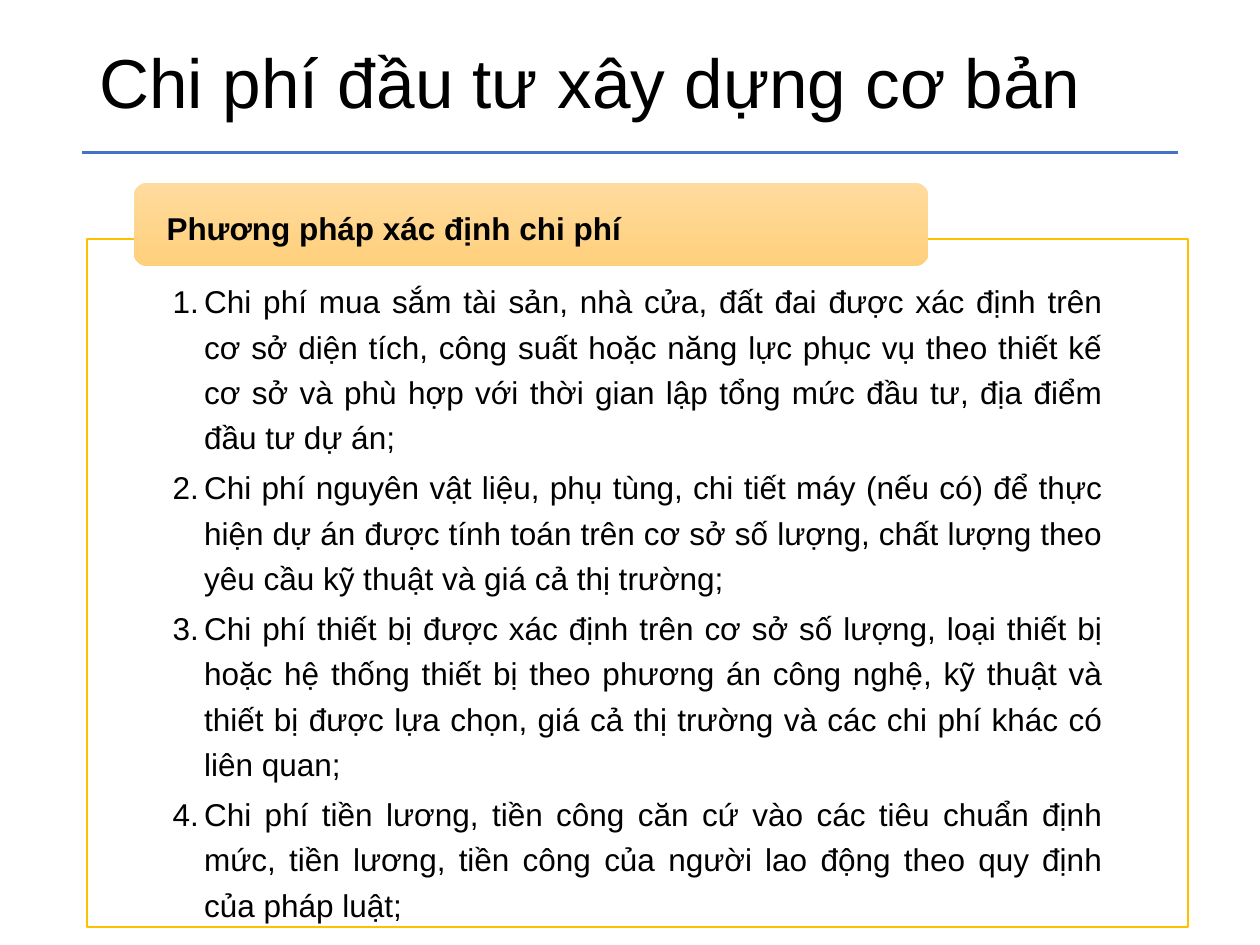
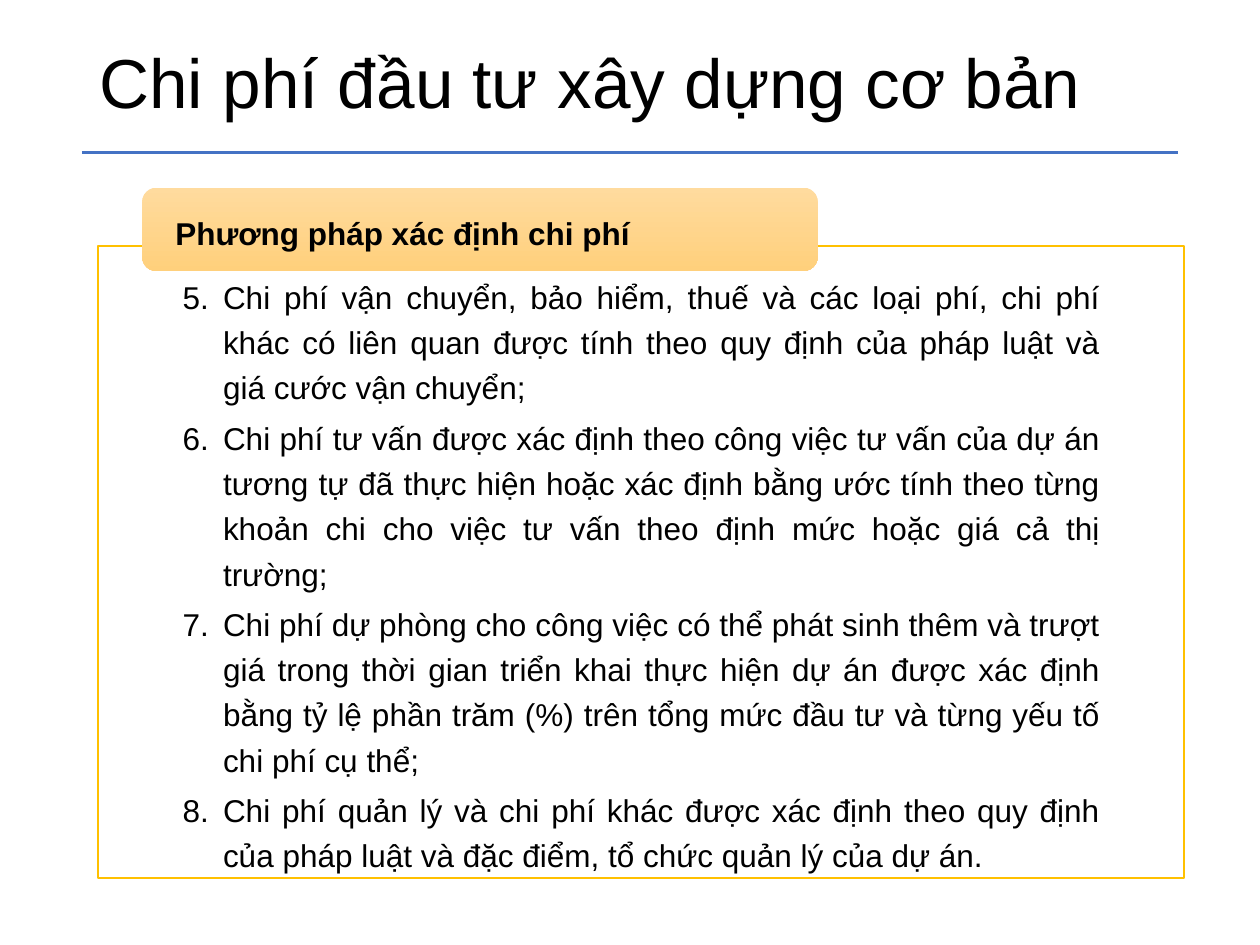
from lxml import etree
from pptx import Presentation
from pptx import util as u
from pptx.dml.color import RGBColor
from pptx.enum import shapes, text
from pptx.oxml import ns

PX = 9144  # 100 px to the inch
FONT = "Arial"
COLORS = {
    "ink": "000000",
    "rule": "4472C4",
    "panel": "FFFFFF",
    "border": "FFC000",
    "tab_top": "FFDB9E",
    "tab_bottom": "FFD07C",
}
RGB = {name: RGBColor.from_string(value) for name, value in COLORS.items()}

TITLE = "Chi phí đầu tư xây dựng cơ bản"
HEADING = "Phương pháp xác định chi phí"

# Boxes are left, top, width, height; insets are side, top, bottom.
PAGES = [
    {
        "panel": (69, 190, 874, 546),
        "insets": (68, 39, 14),
        "tab": (106, 145, 631, 66),
        "indent": 25,
        "start": 1,
        "costs": [
            "Chi phí mua sắm tài sản, nhà cửa, đất đai được xác định trên cơ sở diện tích, công suất hoặc năng lực phục vụ theo thiết kế cơ sở và phù hợp với thời gian lập tổng mức đầu tư, địa điểm đầu tư dự án;",
            "Chi phí nguyên vật liệu, phụ tùng, chi tiết máy (nếu có) để thực hiện dự án được tính toán trên cơ sở số lượng, chất lượng theo yêu cầu kỹ thuật và giá cả thị trường;",
            "Chi phí thiết bị được xác định trên cơ sở số lượng, loại thiết bị hoặc hệ thống thiết bị theo phương án công nghệ, kỹ thuật và thiết bị được lựa chọn, giá cả thị trường và các chi phí khác có liên quan;",
            "Chi phí tiền lương, tiền công căn cứ vào các tiêu chuẩn định mức, tiền lương, tiền công của người lao động theo quy định của pháp luật;",
        ],
    },
    {
        "panel": (78, 195, 862, 502),
        "insets": (67, 30, 14),
        "tab": (113, 149, 536, 66),
        "indent": 32,
        "start": 5,
        "costs": [
            "Chi phí vận chuyển, bảo hiểm, thuế và các loại phí, chi phí khác có liên quan được tính theo quy định của pháp luật và giá cước vận chuyển;",
            "Chi phí tư vấn được xác định theo công việc tư vấn của dự án tương tự đã thực hiện hoặc xác định bằng ước tính theo từng khoản chi cho việc tư vấn theo định mức hoặc giá cả thị trường;",
            "Chi phí dự phòng cho công việc có thể phát sinh thêm và trượt giá trong thời gian triển khai thực hiện dự án được xác định bằng tỷ lệ phần trăm (%) trên tổng mức đầu tư và từng yếu tố chi phí cụ thể;",
            "Chi phí quản lý và chi phí khác được xác định theo quy định của pháp luật và đặc điểm, tổ chức quản lý của dự án.",
        ],
    },
]


def set_frame(shape, side, top, bottom):
    """Wrap and centre the text vertically within the given insets."""
    frame = shape.text_frame
    frame.word_wrap = True
    frame.vertical_anchor = text.MSO_ANCHOR.MIDDLE
    frame.margin_left = frame.margin_right = side * PX
    frame.margin_top, frame.margin_bottom = top * PX, bottom * PX
    return frame


def write(paragraph, words, size, spacing, after=0, bold=False, align=text.PP_ALIGN.LEFT):
    paragraph.alignment = align
    paragraph.line_spacing = spacing
    paragraph.space_after = u.Pt(after)
    run = paragraph.add_run()
    run.text = words
    run.font.name, run.font.size, run.font.bold = FONT, u.Pt(size), bold
    run.font.color.rgb = RGB["ink"]


deck = Presentation()
deck.slide_width, deck.slide_height = 1000 * PX, 750 * PX

for page in PAGES:
    slide = deck.slides.add_slide(deck.slide_layouts[6])

    rule = slide.shapes.add_connector(
        shapes.MSO_CONNECTOR.STRAIGHT, 65 * PX, 121 * PX, 935 * PX, 121 * PX)
    rule.line.color.rgb = RGB["rule"]
    rule.line.width = u.Pt(1.5)
    etree.SubElement(rule._element.spPr, ns.qn("a:effectLst"))

    title = slide.shapes.add_textbox(69 * PX, 15 * PX, 862 * PX, 106 * PX)
    write(set_frame(title, 10, 5, 5).paragraphs[0], TITLE, 39.6, 0.9)

    panel = slide.shapes.add_shape(
        shapes.MSO_SHAPE.RECTANGLE, *(side * PX for side in page["panel"]))
    panel.shadow.inherit = False
    panel.fill.solid()
    panel.fill.fore_color.rgb = RGB["panel"]
    panel_color = panel._element.spPr.find(".//" + ns.qn("a:srgbClr"))
    etree.SubElement(panel_color, ns.qn("a:alpha"), val="90000")
    panel.line.color.rgb = RGB["border"]
    panel.line.width = u.Pt(1)

    cost_list = set_frame(panel, *page["insets"])
    for index, cost in enumerate(page["costs"]):
        item = cost_list.add_paragraph() if index else cost_list.paragraphs[0]
        write(item, cost, 18, 1.2, after=2.7, align=text.PP_ALIGN.JUSTIFY)
        props = item._p.get_or_add_pPr()
        props.set("marL", str(page["indent"] * PX))
        props.set("indent", str(-page["indent"] * PX))
        etree.SubElement(props, ns.qn("a:buFont"), typeface="+mj-lt")
        etree.SubElement(props, ns.qn("a:buAutoNum"),
                         type="arabicPeriod", startAt=str(page["start"]))

    tab = slide.shapes.add_shape(
        shapes.MSO_SHAPE.ROUNDED_RECTANGLE, *(side * PX for side in page["tab"]))
    tab.shadow.inherit = False
    tab.line.fill.background()
    tab.fill.gradient()
    tab.fill.gradient_angle = 270
    for stop, shade in zip(tab.fill.gradient_stops, ("tab_top", "tab_bottom")):
        stop.color.rgb = RGB[shade]
    write(set_frame(tab, 23, 0, 0).paragraphs[0], HEADING, 18, 1.2, after=6.3, bold=True)

deck.save("out.pptx")
